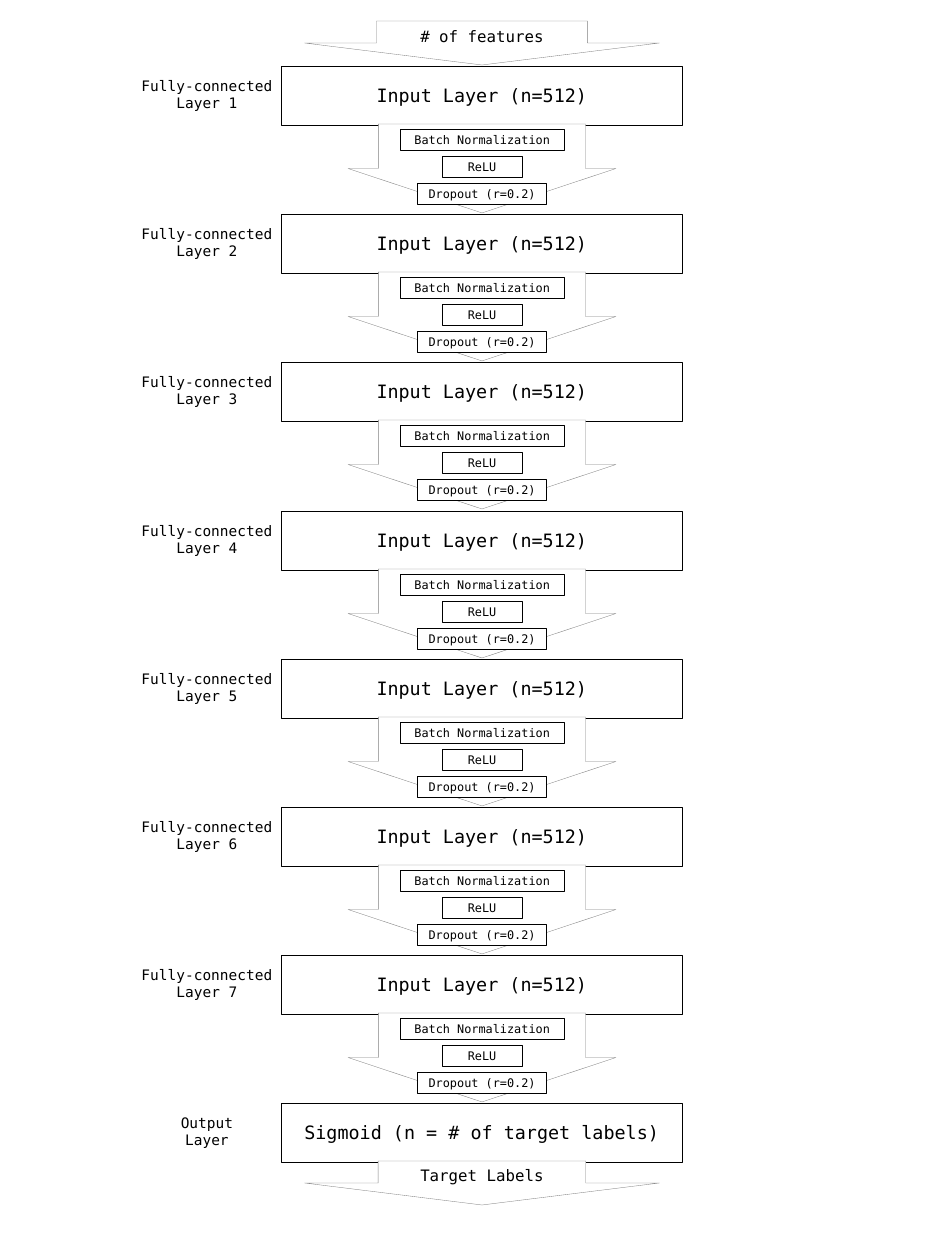
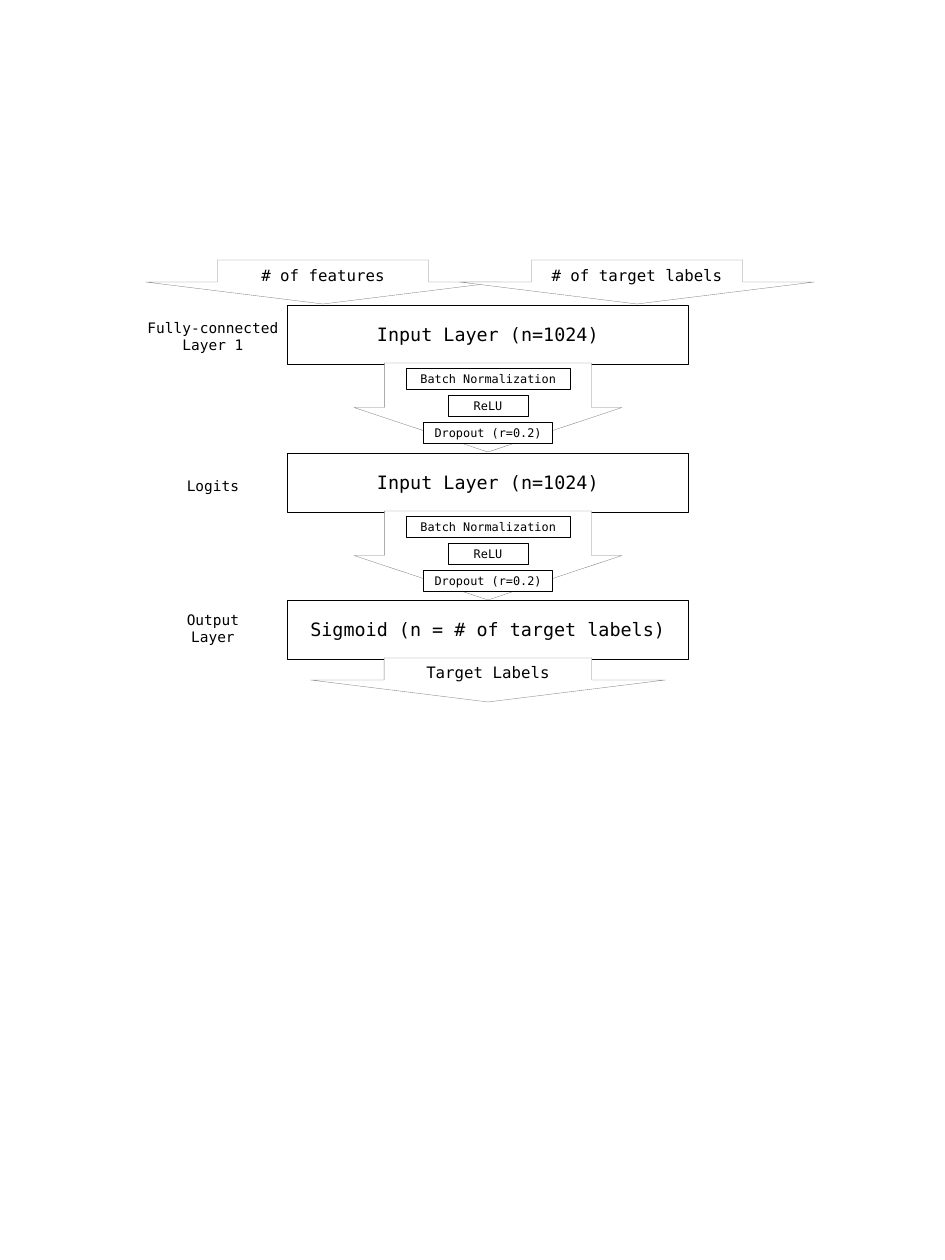
from pptx import Presentation
from pptx.dml.color import RGBColor
from pptx.enum import shapes, text
from pptx.util import Emu, Pt

PX = 914400 / 94.6  # EMU in one pixel
FONT = "DejaVu Sans Mono"
COLORS = {"paper": "FFFFFF", "ink": "000000", "arrow": "808080"}
RECT, ARROW = shapes.MSO_SHAPE.RECTANGLE, shapes.MSO_SHAPE.DOWN_ARROW
MIDDLE, TOP = text.MSO_ANCHOR.MIDDLE, text.MSO_ANCHOR.TOP

LAYER_W, LAYER_H = 401, 59
STEP_ARROW_W, STEP_ARROW_H, STEP_SHAFT = 268, 89, 0.773
END_ARROW_W, END_ARROW_H, IN_SHAFT, OUT_SHAFT = 355, 44, 0.594, 0.585
IN_RISE = 45
LABEL_W, LABEL_SHIFT = 151, -275
STEP_H = 21
# wording, width, distance below the top of the layer
STEPS = [("Batch Normalization", 164, 63), ("ReLU", 80, 90), ("Dropout (r=0.2)", 129, 117)]
SIGMOID = "Sigmoid (n = # of target labels)"


def write(frame, lines, size, anchor):
    """Fill a text frame with centred paragraphs."""
    frame.vertical_anchor = anchor
    for number, line in enumerate(lines):
        paragraph = frame.paragraphs[0] if number == 0 else frame.add_paragraph()
        paragraph.alignment = text.PP_ALIGN.CENTER
        run = paragraph.add_run()
        run.text = line
        run.font.name = FONT
        run.font.size = Pt(size)
        run.font.color.rgb = RGBColor.from_string(COLORS["ink"])


def block(slide, middle, top, width, height, wording="", size=12, shaft=None, anchor=MIDDLE):
    """Draw a white box, or a down arrow when a shaft ratio is given."""
    outline = slide.shapes.add_shape(
        ARROW if shaft else RECT,
        *(Emu(round(n * PX)) for n in (middle - width / 2, top, width, height)))
    outline.shadow.inherit = False
    outline.fill.solid()
    outline.fill.fore_color.rgb = RGBColor.from_string(COLORS["paper"])
    outline.line.color.rgb = RGBColor.from_string(COLORS["arrow" if shaft else "ink"])
    outline.line.width = Pt(0.25)
    if shaft:
        outline.adjustments[0] = shaft
        outline.adjustments[1] = 0.5
    if wording:
        write(outline.text_frame, [wording], size, anchor)


# Each layer: label lines, distance of the label below the layer top, wording
output = (["Output", "Layer"], 6, SIGMOID)
networks = [
    {"middle": 482, "top": 66, "pitch": 148.2,
     "inputs": [("# of features", 482)],
     "layers": [(["Fully-connected", f"Layer {n}"], 6, "Input Layer (n=512)")
                for n in range(1, 8)] + [output]},
    {"middle": 488, "top": 305, "pitch": 147.6,
     "inputs": [("# of features", 323), ("# of target labels", 637)],
     "layers": [(["Fully-connected", "Layer 1"], 9, "Input Layer (n=1024)"),
                (["Logits"], 19, "Input Layer (n=1024)"),
                output]},
]

deck = Presentation()
deck.slide_width, deck.slide_height = Emu(round(945 * PX)), Emu(round(1260 * PX))

for network in networks:
    slide = deck.slides.add_slide(deck.slide_layouts[6])
    middle = network["middle"]

    for wording, input_middle in network["inputs"]:
        block(slide, input_middle, network["top"] - IN_RISE, END_ARROW_W, END_ARROW_H,
              wording, shaft=IN_SHAFT)

    for index, (label_lines, label_drop, wording) in enumerate(network["layers"]):
        top = network["top"] + round(index * network["pitch"])
        block(slide, middle, top, LAYER_W, LAYER_H, wording, size=14)

        label_left = middle + LABEL_SHIFT - LABEL_W / 2
        label_height = 10 + 17 * len(label_lines)
        label = slide.shapes.add_textbox(
            *(Emu(round(n * PX)) for n in (label_left, top + label_drop, LABEL_W, label_height)))
        label.text_frame.word_wrap = False
        label.text_frame.auto_size = text.MSO_AUTO_SIZE.SHAPE_TO_FIT_TEXT
        write(label.text_frame, label_lines, 11, TOP)

        if wording == SIGMOID:
            block(slide, middle, top + LAYER_H - 1, END_ARROW_W, END_ARROW_H,
                  "Target Labels", shaft=OUT_SHAFT, anchor=TOP)
            continue
        block(slide, middle, top + LAYER_H - 1, STEP_ARROW_W, STEP_ARROW_H, shaft=STEP_SHAFT)
        for step, width, drop in STEPS:
            block(slide, middle, top + drop, width, STEP_H, step, size=9)

deck.save("out.pptx")
